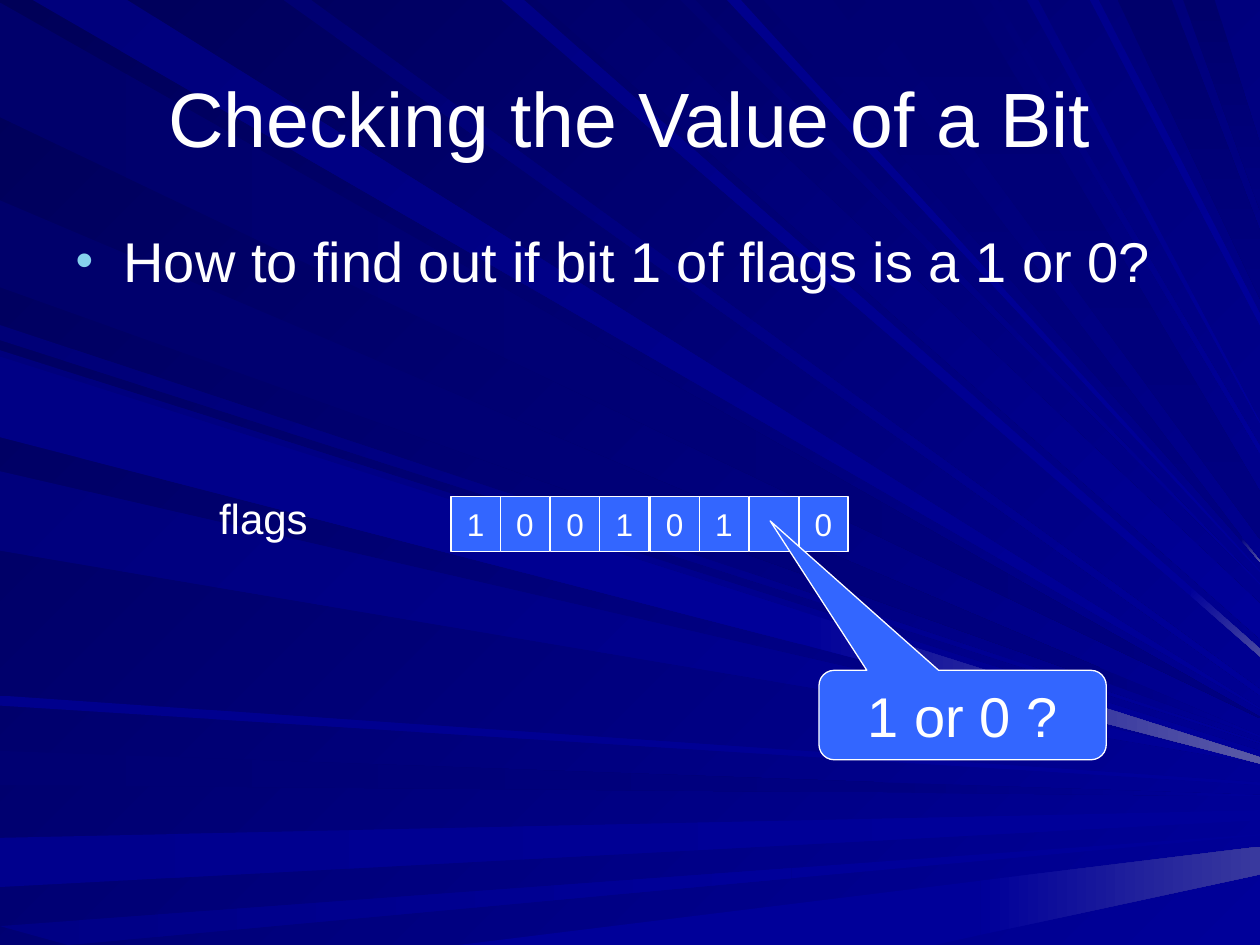
from dataclasses import dataclass
from typing import Optional

from lxml import etree
from pptx import Presentation
from pptx.dml.color import RGBColor
from pptx.dml.fill import FillFormat
from pptx.enum.shapes import MSO_SHAPE
from pptx.enum.text import MSO_ANCHOR, MSO_AUTO_SIZE, PP_ALIGN
from pptx.oxml.ns import qn
from pptx.shapes.base import BaseShape
from pptx.shapes.shapetree import GroupShapes, SlideShapes
from pptx.text.text import TextFrame
from pptx.util import Emu, Pt

RECTANGLE = MSO_SHAPE.RECTANGLE
CALLOUT = MSO_SHAPE.ROUNDED_RECTANGULAR_CALLOUT
MIDDLE, TOP = MSO_ANCHOR.MIDDLE, MSO_ANCHOR.TOP
NO_FIT = MSO_AUTO_SIZE.NONE
CENTER, LEFT = PP_ALIGN.CENTER, PP_ALIGN.LEFT

EMU_PER_PX = 9144
SLIDE_WIDTH, SLIDE_HEIGHT = 1000, 750
FONT = "Arial"
ACROSS, DIAGONAL, DOWN = 0, 45, 90

WHITE = RGBColor.from_string("FFFFFF")
BOX_BLUE = RGBColor.from_string("3366FF")
BULLET_BLUE = RGBColor.from_string("86D1EC")
MIDNIGHT = RGBColor.from_string("000058")
INK = RGBColor.from_string("00006B")
DEEP = RGBColor.from_string("000072")
DUSK = RGBColor.from_string("000077")
DIM = RGBColor.from_string("00007C")
NAVY = RGBColor.from_string("000080")
SOFT = RGBColor.from_string("000085")
CLEAR = RGBColor.from_string("00008D")
BRIGHT = RGBColor.from_string("000099")
GLOW_LOW = RGBColor.from_string("39399E")
GLOW_MID = RGBColor.from_string("4A4AA1")
GLOW_HIGH = RGBColor.from_string("5A5AA6")


@dataclass(frozen=True)
class Box:
    left: int
    top: int
    width: int
    height: int

    def emu(self) -> tuple[Emu, Emu, Emu, Emu]:
        return px(self.left), px(self.top), px(self.width), px(self.height)


@dataclass(frozen=True)
class Ray:
    upper: int
    lower: int
    end: int
    dark: RGBColor
    light: RGBColor
    angle: int = ACROSS
    spread: int = 1
    split: int = SLIDE_WIDTH
    tip: Optional[RGBColor] = None


RAYS = (
    Ray(-2, -93, 569, INK, NAVY),
    Ray(101, 26, 562, DIM, BRIGHT, DIAGONAL),
    Ray(-596, -623, 631, DEEP, NAVY, split=701, tip=BRIGHT),
    Ray(-665, -704, 643, CLEAR, BRIGHT, spread=8, split=831, tip=BRIGHT),
    Ray(-735, -804, 662, SOFT, BRIGHT, split=628, tip=BRIGHT),
    Ray(-1114, -1492, 672, BRIGHT, BRIGHT, spread=22, split=778, tip=GLOW_LOW),
    Ray(-258, -270, 589, DUSK, BRIGHT, DIAGONAL),
    Ray(-159, -228, 584, INK, NAVY, split=873, tip=BRIGHT),
    Ray(416, 398, 515, SOFT, BRIGHT, DIAGONAL, spread=6, split=945, tip=GLOW_MID),
    Ray(492, 426, 479, INK, BRIGHT, DIAGONAL, spread=28),
    Ray(552, 540, 463, DEEP, BRIGHT, DIAGONAL),
    Ray(661, 606, 445, DEEP, NAVY, DOWN, split=986, tip=GLOW_HIGH),
    Ray(930, 887, 183, INK, NAVY, DOWN, spread=54),
    Ray(964, 939, 114, INK, NAVY, DOWN, spread=53),
    Ray(-278, -342, 596, DIM, BRIGHT, DIAGONAL, spread=6),
    Ray(-374, -437, 605, DIM, BRIGHT, DIAGONAL),
    Ray(-552, -560, 621, CLEAR, BRIGHT, spread=2),
    Ray(247, 225, 547, DEEP, BRIGHT, DIAGONAL, spread=5),
    Ray(588, 577, 453, CLEAR, BRIGHT, DIAGONAL),
    Ray(770, 686, 390, DEEP, NAVY, DOWN, spread=38),
    Ray(792, 785, 354, DUSK, BRIGHT, DIAGONAL, spread=6),
    Ray(824, 815, 335, SOFT, BRIGHT, DIAGONAL),
    Ray(872, 865, 249, CLEAR, BRIGHT, DIAGONAL, spread=9),
    Ray(-283, -347, 601, SOFT, BRIGHT, spread=5, split=635, tip=GLOW_HIGH),
)

BITS = ("1", "0", "0", "1", "0", "1", "", "0")
FIRST_BIT_LEFT, LAST_BIT_LEFT = 358, 634


def px(length: int) -> Emu:
    return Emu(length * EMU_PER_PX)


def paint_gradient(fill: FillFormat, start: RGBColor, end: RGBColor, angle: int) -> None:
    fill.gradient()
    fill.gradient_angle = -angle % 360
    for stop, color in zip(fill.gradient_stops, (start, end)):
        stop.color.rgb = color


def edge_point(position: int) -> tuple[int, int]:
    if position >= 0:
        return position, 0
    return max(0, -position - SLIDE_HEIGHT), min(-position, SLIDE_HEIGHT)


def point_at(start: tuple[int, int], end_y: int, x: int) -> tuple[int, int]:
    start_x, start_y = start
    share = (x - start_x) / (SLIDE_WIDTH - start_x)
    return x, round(start_y + share * (end_y - start_y))


def draw_beam(shapes: GroupShapes, points: tuple[tuple[int, int], ...],
              start: RGBColor, end: RGBColor, angle: int) -> None:
    builder = shapes.build_freeform(*points[0], scale=EMU_PER_PX)
    builder.add_line_segments(points[1:], close=True)
    beam = builder.convert_to_shape()
    beam.shadow.inherit = False
    beam.line.fill.background()
    paint_gradient(beam.fill, start, end, angle)


def draw_ray(shapes: GroupShapes, ray: Ray) -> None:
    upper, lower = edge_point(ray.upper), edge_point(ray.lower)
    upper_end, lower_end = ray.end, ray.end + ray.spread
    upper_split = point_at(upper, upper_end, ray.split)
    lower_split = point_at(lower, lower_end, ray.split)
    draw_beam(shapes, (upper, upper_split, lower_split, lower), ray.dark, ray.light, ray.angle)
    if ray.tip is not None:
        tip_points = (upper_split, (SLIDE_WIDTH, upper_end), (SLIDE_WIDTH, lower_end), lower_split)
        draw_beam(shapes, tip_points, ray.light, ray.tip, ray.angle)


def write(frame: TextFrame, text: str, size: int, align: PP_ALIGN, anchor: MSO_ANCHOR) -> None:
    frame.vertical_anchor = anchor
    frame.auto_size = NO_FIT
    paragraph = frame.paragraphs[0]
    paragraph.text = text
    paragraph.alignment = align
    paragraph.space_before = Pt(0)
    paragraph.font.name = FONT
    paragraph.font.size = Pt(size)
    paragraph.font.color.rgb = WHITE


def add_bullet(frame: TextFrame) -> None:
    properties = frame.paragraphs[0]._p.get_or_add_pPr()
    properties.set("marL", str(px(38)))
    properties.set("indent", str(-px(38)))
    color = etree.SubElement(properties, qn("a:buClr"))
    etree.SubElement(color, qn("a:srgbClr"), val=str(BULLET_BLUE))
    etree.SubElement(properties, qn("a:buSzPct"), val="90000")
    etree.SubElement(properties, qn("a:buFont"), typeface=FONT)
    etree.SubElement(properties, qn("a:buChar"), char="•")


def place(shape: BaseShape, box: Box) -> None:
    shape.left, shape.top, shape.width, shape.height = box.emu()


def draw_box(shapes: SlideShapes, kind: MSO_SHAPE, box: Box, text: str, size: int) -> BaseShape:
    shape = shapes.add_shape(kind, *box.emu())
    shape.shadow.inherit = False
    shape.fill.solid()
    shape.fill.fore_color.rgb = BOX_BLUE
    shape.line.color.rgb = WHITE
    shape.line.width = Pt(0.75)
    if text:
        write(shape.text_frame, text, size, CENTER, MIDDLE)
        shape.text_frame.word_wrap = False
    return shape


def main() -> None:
    deck = Presentation()
    deck.slide_width, deck.slide_height = px(SLIDE_WIDTH), px(SLIDE_HEIGHT)
    slide = deck.slides.add_slide(deck.slide_layouts[1])
    paint_gradient(slide.background.fill, MIDNIGHT, BRIGHT, DIAGONAL)
    title, question = slide.placeholders
    place(title, Box(50, 30, 900, 125))
    write(title.text_frame, "Checking the Value of a Bit", 44, CENTER, MIDDLE)
    place(question, Box(50, 175, 900, 495))
    add_bullet(question.text_frame)
    write(question.text_frame, "How to find out if bit 1 of flags is a 1 or 0?", 32, LEFT, TOP)
    burst = slide.shapes.add_group_shape()
    for ray in RAYS:
        draw_ray(burst.shapes, ray)
    title.element.addprevious(burst.element)
    bit_step = (LAST_BIT_LEFT - FIRST_BIT_LEFT) / (len(BITS) - 1)
    for index, bit in enumerate(BITS):
        bit_left = FIRST_BIT_LEFT + round(index * bit_step)
        draw_box(slide.shapes, RECTANGLE, Box(bit_left, 394, 39, 44), bit, 18)
    flags_label = slide.shapes.add_textbox(*Box(164, 386, 91, 50).emu())
    write(flags_label.text_frame, "flags", 24, LEFT, TOP)
    flags_label.text_frame.word_wrap = False
    bit_callout = draw_box(slide.shapes, CALLOUT, Box(650, 532, 228, 71), "1 or 0 ?", 32)
    for index, adjustment in enumerate((-0.67, -2.17, 0.17)):
        bit_callout.adjustments[index] = adjustment
    deck.save("out.pptx")


if __name__ == "__main__":
    main()
